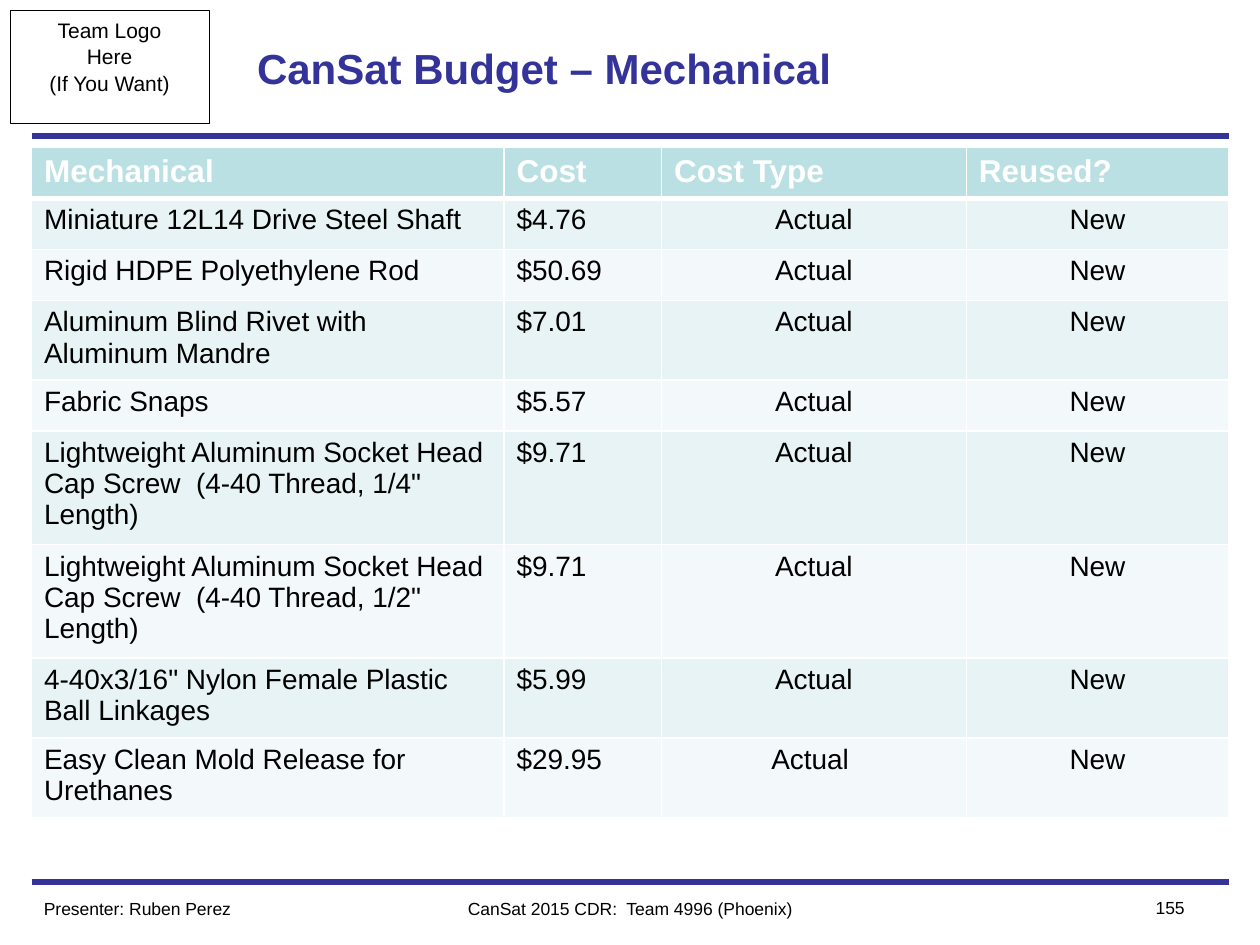
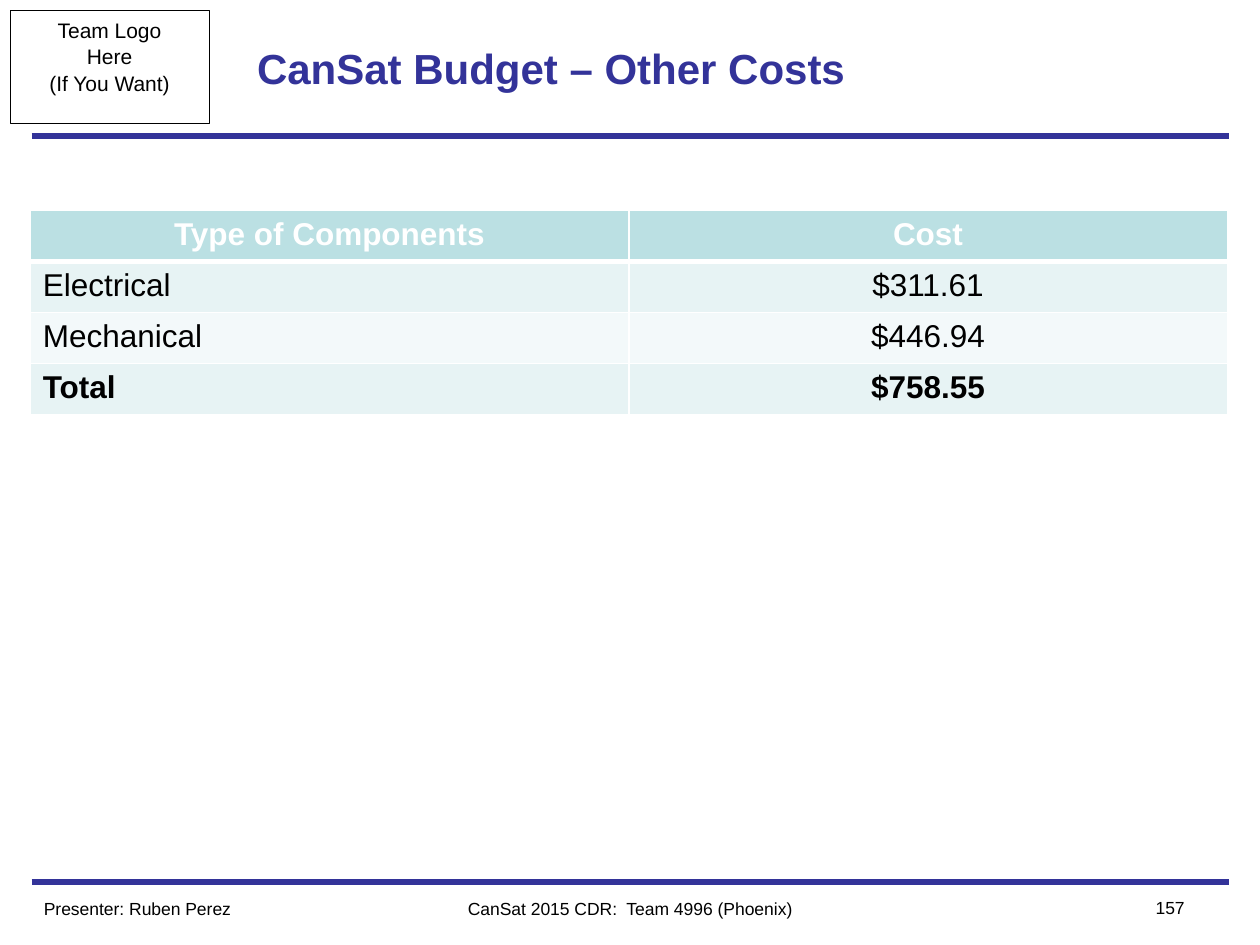
"""Builds two budget slides of a CanSat design review."""
from dataclasses import dataclass

from lxml import etree
from pptx import Presentation
from pptx.dml.color import RGBColor
from pptx.enum.shapes import MSO_CONNECTOR, MSO_SHAPE
from pptx.enum.text import MSO_ANCHOR, PP_ALIGN
from pptx.oxml.ns import qn
from pptx.util import Inches, Pt

LEFT, CENTER, RIGHT = PP_ALIGN.LEFT, PP_ALIGN.CENTER, PP_ALIGN.RIGHT
MIDDLE, TOP = MSO_ANCHOR.MIDDLE, MSO_ANCHOR.TOP
STRAIGHT, RECTANGLE = MSO_CONNECTOR.STRAIGHT, MSO_SHAPE.RECTANGLE

NAVY = RGBColor(0x33, 0x33, 0x99)
BLACK = RGBColor(0x00, 0x00, 0x00)
WHITE = RGBColor(0xFF, 0xFF, 0xFF)
HEADER_FILL = RGBColor(0xBB, 0xE0, 0xE3)
BAND_FILLS = (RGBColor(0xE7, 0xF3, 0xF4), RGBColor(0xF3, 0xF9, 0xFA))

FONT = "Arial"
ROW_HEIGHT = Inches(1.62 / 4)
RULE_TOPS = (Inches(7), Inches(1.08))
HEADER_RULE_PT = 3


@dataclass(frozen=True)
class Label:
    """A line of text with its box and style."""
    left: float
    top: float
    width: float
    height: float
    size: int = 10
    color: RGBColor = BLACK
    bold: bool = False
    align: PP_ALIGN = LEFT
    anchor: MSO_ANCHOR = TOP
    inset: float = 0.1


@dataclass(frozen=True)
class BudgetTable:
    """A banded cost table with one header row."""
    left: float
    top: float
    widths: tuple[float, ...]
    header_align: PP_ALIGN
    body_aligns: tuple[PP_ALIGN, ...]
    body_size: int
    rows: tuple[tuple[str, ...], ...]
    has_total: bool = False


@dataclass(frozen=True)
class BudgetSlide:
    """The title, page number and table of one slide."""
    title: str
    page: str
    table: BudgetTable


TITLE = Label(1.75, 0.08, 6.5, 0.92, 24, NAVY, True, LEFT, MIDDLE, 0.29)
EVENT = Label(3, 7.08, 4, 0.27, align=CENTER)
PAGE = Label(8.75, 7.07, 0.75, 0.27, align=RIGHT)
PRESENTER = Label(0.25, 7.08, 2.5, 0.27)

MECHANICAL = BudgetTable(
    0.25, 1.17, (3.75, 1.25, 2.42, 2.08), LEFT, (LEFT, LEFT, CENTER, CENTER), 16,
    (
        ("Mechanical", "Cost", "Cost Type", "Reused?"),
        ("Miniature 12L14 Drive Steel Shaft", "$4.76", "Actual", "New"),
        ("Rigid HDPE Polyethylene Rod", "$50.69", "Actual", "New"),
        ("Aluminum Blind Rivet with Aluminum Mandre", "$7.01", "Actual", "New"),
        ("Fabric Snaps", "$5.57", "Actual", "New"),
        ('Lightweight Aluminum Socket Head Cap Screw  (4-40 Thread, 1/4" Length)',
         "$9.71", "Actual", "New"),
        ('Lightweight Aluminum Socket Head Cap Screw  (4-40 Thread, 1/2" Length)',
         "$9.71", "Actual", "New"),
        ('4-40x3/16" Nylon Female Plastic Ball Linkages', "$5.99", "Actual", "New"),
        ("Easy Clean Mold Release for Urethanes", "$29.95", "Actual ", "New"),
    ),
)
OTHER_COSTS = BudgetTable(
    0.24, 1.67, (4.75, 4.75), CENTER, (LEFT, CENTER), 18,
    (
        ("Type of Components", "Cost"),
        ("Electrical", "$311.61"),
        ("Mechanical", "$446.94"),
        ("Total", "$758.55"),
    ),
    has_total=True,
)
SLIDES = (
    BudgetSlide("CanSat Budget – Mechanical", "155", MECHANICAL),
    BudgetSlide("CanSat Budget – Other Costs", "157", OTHER_COSTS),
)


def style_text(tf, size: int, color: RGBColor, bold: bool, align: PP_ALIGN) -> None:
    """Give every run of a text frame one style."""
    for p in tf.paragraphs:
        p.alignment = align
        for r in p.runs:
            r.font.name = FONT
            r.font.size = Pt(size)
            r.font.bold = bold
            r.font.color.rgb = color


def add_label(slide, label: Label, text: str) -> None:
    """Draw one text box."""
    box = (label.left, label.top, label.width, label.height)
    tf = slide.shapes.add_textbox(*map(Inches, box)).text_frame
    tf.word_wrap = True
    tf.vertical_anchor = label.anchor
    tf.margin_left = Inches(label.inset)
    tf.text = text
    style_text(tf, label.size, label.color, label.bold, label.align)


def add_rule(slide, top: int) -> None:
    """Draw a full-width navy rule."""
    line = slide.shapes.add_connector(STRAIGHT, Inches(0.25), top, Inches(9.75), top)
    line.line.color.rgb = NAVY
    line.line.width = Pt(3)
    etree.SubElement(line._element.spPr, qn("a:effectLst"))


def add_logo_box(slide) -> None:
    """Draw the outlined box kept for the team logo."""
    sp = slide.shapes.add_shape(
        RECTANGLE, Inches(0.08), Inches(0.08), Inches(1.58), Inches(0.9))
    sp.shadow.inherit = False
    sp.fill.background()
    sp.line.color.rgb = BLACK
    sp.line.width = Pt(0.5)
    tf = sp.text_frame
    tf.word_wrap = False
    tf.vertical_anchor = TOP
    tf.text = "Team Logo\nHere\n(If You Want)"
    style_text(tf, 12, BLACK, False, CENTER)
    for p in tf.paragraphs:
        p.line_spacing = 1.05


def set_borders(cell, top_pt: int, bottom_pt: int) -> None:
    """Give a cell white borders."""
    tc_pr = cell._tc.get_or_add_tcPr()
    sides = (("L", 1), ("R", 1), ("T", top_pt), ("B", bottom_pt))
    for i, (side, width) in enumerate(sides):
        ln = etree.Element(qn(f"a:ln{side}"), w=str(Pt(width)))
        fill = etree.SubElement(ln, qn("a:solidFill"))
        etree.SubElement(fill, qn("a:srgbClr"), val=str(WHITE))
        tc_pr.insert(i, ln)


def add_budget_table(slide, budget: BudgetTable) -> None:
    """Draw a cost table with a header and banded rows."""
    row_count, col_count = len(budget.rows), len(budget.widths)
    table = slide.shapes.add_table(
        row_count, col_count, Inches(budget.left), Inches(budget.top),
        Inches(sum(budget.widths)), ROW_HEIGHT * row_count).table
    table.horz_banding = False
    for column, width in zip(table.columns, budget.widths):
        column.width = Inches(width)
    for i, row in enumerate(budget.rows):
        is_header = i == 0
        is_total = budget.has_total and i == row_count - 1
        for j, text in enumerate(row):
            cell = table.cell(i, j)
            cell.text = text
            cell.fill.solid()
            cell.fill.fore_color.rgb = HEADER_FILL if is_header else BAND_FILLS[(i - 1) % 2]
            set_borders(cell, HEADER_RULE_PT if i == 1 else 1,
                        HEADER_RULE_PT if is_header else 1)
            style_text(
                cell.text_frame,
                18 if is_header else budget.body_size,
                WHITE if is_header else BLACK,
                is_header or is_total,
                budget.header_align if is_header else budget.body_aligns[j])


def add_budget_slide(prs, content: BudgetSlide) -> None:
    """Add one slide with the shared frame, title, footer and table."""
    slide = prs.slides.add_slide(prs.slide_layouts[6])
    for top in RULE_TOPS:
        add_rule(slide, top)
    add_logo_box(slide)
    add_label(slide, TITLE, content.title)
    add_budget_table(slide, content.table)
    add_label(slide, EVENT, "CanSat 2015 CDR:  Team 4996 (Phoenix)")
    add_label(slide, PAGE, content.page)
    add_label(slide, PRESENTER, "Presenter: Ruben Perez")


def main() -> None:
    """Build and save the presentation."""
    prs = Presentation()
    prs.slide_width, prs.slide_height = Inches(10), Inches(7.5)
    for content in SLIDES:
        add_budget_slide(prs, content)
    prs.save("out.pptx")


if __name__ == "__main__":
    main()
